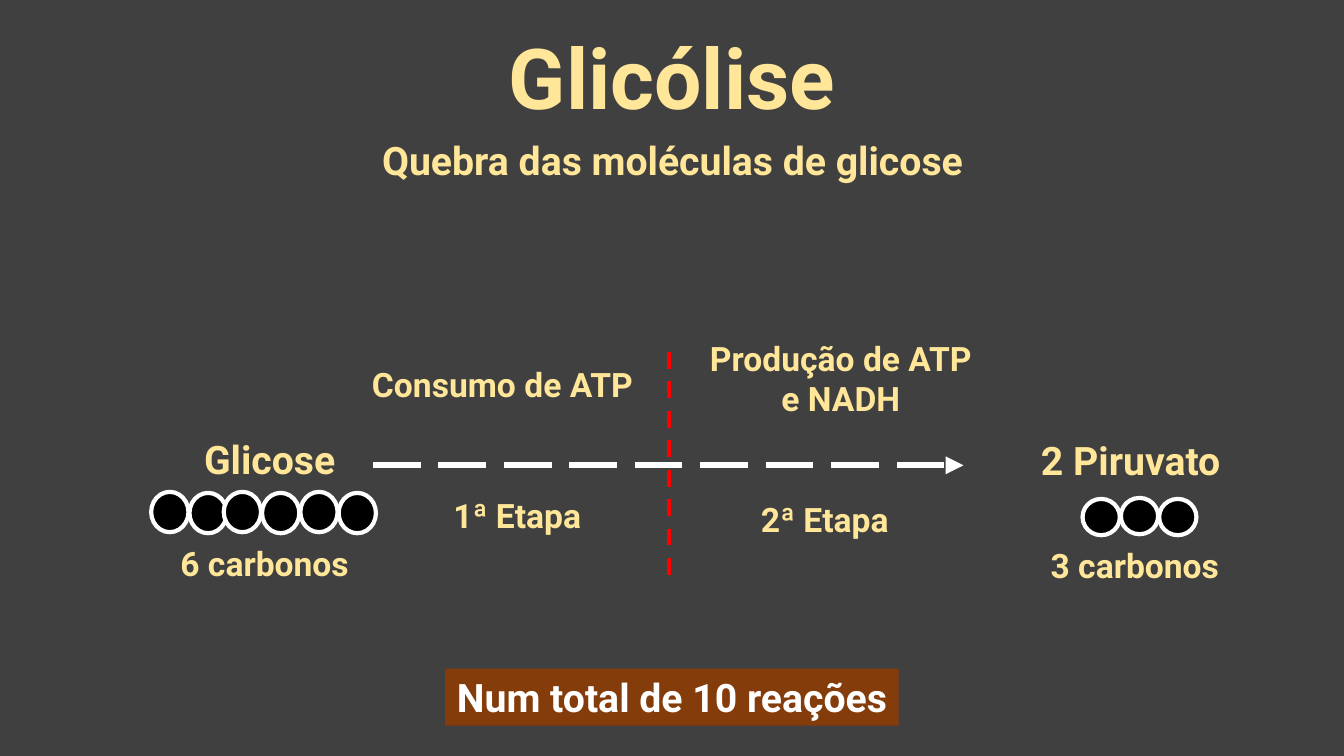
from dataclasses import dataclass

from lxml.etree import SubElement
from pptx import Presentation
from pptx.dml.color import RGBColor
from pptx.enum.dml import MSO_LINE
from pptx.enum.shapes import MSO_CONNECTOR, MSO_SHAPE
from pptx.enum.text import MSO_ANCHOR, MSO_AUTO_SIZE, PP_ALIGN
from pptx.oxml.ns import qn
from pptx.shapes.autoshape import Shape
from pptx.shapes.connector import Connector
from pptx.slide import Slide
from pptx.util import Emu, Inches, Pt

# Grid of 160 columns by 90 rows of square cells
COLUMNS, ROWS = 160, 90
CELL = Inches(7.5) / ROWS
FONT = "Roboto"
COLORS = {
    "background": "404040",
    "cream": "FFE699",
    "white": "FFFFFF",
    "black": "000000",
    "red": "FF0000",
    "brown": "843C0B",
}


@dataclass(frozen=True)
class Box:
    left: float
    top: float
    width: float
    height: float


@dataclass(frozen=True)
class Label:
    text: str
    box: Box
    size: int = 24
    alignment: PP_ALIGN = PP_ALIGN.CENTER


@dataclass(frozen=True)
class CarbonChain:
    left: float
    top: float
    count: int
    height: float
    stagger: float


@dataclass(frozen=True)
class DashedLine:
    start: tuple[float, float]
    end: tuple[float, float]
    color: str
    weight: float
    dash: MSO_LINE


TITLE = Label("Glicólise", Box(55.7, 3.4, 48.6, 12.4), 60)
TOTAL = Label("Num total de 10 reações", Box(53, 79.6, 54, 6.8), 28)
LABELS = [
    Label("Quebra das moléculas de glicose", Box(43.8, 15.6, 72.5, 6.8), 28),
    Label("Glicose", Box(19.8, 51.2, 24.6, 6.8), 28),
    Label("2 Piruvato", Box(117.4, 51.4, 34.4, 6.8), 28),
    Label("6 carbonos", Box(19.2, 64, 24.6, 6)),
    Label("3 carbonos", Box(122.8, 64.3, 24.6, 6)),
    Label("Consumo de ATP", Box(43.1, 42.7, 34.4, 6), alignment=PP_ALIGN.LEFT),
    Label("Produção de ATP e NADH", Box(82.9, 39.6, 34.4, 10.9)),
    Label("1ª Etapa", Box(52.8, 58.3, 18.1, 6), alignment=PP_ALIGN.LEFT),
    Label("2ª Etapa", Box(89.4, 58.8, 18.1, 6), alignment=PP_ALIGN.LEFT),
]
REACTION = DashedLine((44.4, 55.4), (114.7, 55.4), "white", 4.25, MSO_LINE.LONG_DASH)
DIVIDER = DashedLine((79.6, 41.9), (79.6, 68.9), "red", 3, MSO_LINE.DASH)

# Glucose is drawn as two carbons overlapped by four more
CHAINS = [
    CarbonChain(18, 58.56, 2, 4.8, 0.12),
    CarbonChain(26.64, 58.56, 4, 4.8, 0.12),
    CarbonChain(128.88, 59.4, 3, 4.32, -0.12),
]
CARBON_WIDTH, CARBON_PITCH = 4.44, 4.56


def cells(count: float) -> Emu:
    return Emu(round(count * CELL))


def color(name: str) -> RGBColor:
    return RGBColor.from_string(COLORS[name])


def place(shape: Shape, box: Box) -> None:
    shape.left, shape.top = cells(box.left), cells(box.top)
    shape.width, shape.height = cells(box.width), cells(box.height)


def write(shape: Shape, label: Label, color_name: str = "cream") -> None:
    frame = shape.text_frame
    frame.word_wrap = True
    paragraph = frame.paragraphs[0]
    paragraph.alignment = label.alignment
    run = paragraph.add_run()
    run.text = label.text
    run.font.name = FONT
    run.font.size = Pt(label.size)
    run.font.bold = True
    run.font.color.rgb = color(color_name)


def add_title(slide: Slide, label: Label) -> None:
    title = slide.shapes.title
    place(title, label.box)
    write(title, label)
    title.text_frame.auto_size = MSO_AUTO_SIZE.NONE
    title.text_frame.vertical_anchor = MSO_ANCHOR.BOTTOM
    title.text_frame.paragraphs[0].line_spacing = 0.9


def add_label(slide: Slide, label: Label) -> None:
    text_box = slide.shapes.add_textbox(0, 0, 0, 0)
    place(text_box, label.box)
    write(text_box, label)


def add_filled(slide: Slide, kind: MSO_SHAPE, box: Box, fill: str) -> Shape:
    shape = slide.shapes.add_shape(kind, 0, 0, 0, 0)
    place(shape, box)
    shape.shadow.inherit = False
    shape.fill.solid()
    shape.fill.fore_color.rgb = color(fill)
    return shape


def add_banner(slide: Slide, label: Label) -> None:
    banner = add_filled(slide, MSO_SHAPE.RECTANGLE, label.box, "brown")
    banner.line.fill.background()
    write(banner, label, "white")


def add_chain(slide: Slide, chain: CarbonChain) -> None:
    for index in range(chain.count):
        left = chain.left + index * CARBON_PITCH
        top = chain.top + index % 2 * chain.stagger
        box = Box(left, top, CARBON_WIDTH, chain.height)
        carbon = add_filled(slide, MSO_SHAPE.OVAL, box, "black")
        carbon.line.color.rgb = color("white")
        carbon.line.width = Pt(3)


def add_line(slide: Slide, line: DashedLine) -> Connector:
    points = [cells(value) for value in (*line.start, *line.end)]
    connector = slide.shapes.add_connector(MSO_CONNECTOR.STRAIGHT, *points)
    connector.line.color.rgb = color(line.color)
    connector.line.width = Pt(line.weight)
    connector.line.dash_style = line.dash
    SubElement(connector.element.spPr, qn("a:effectLst"))
    return connector


def add_arrowhead(connector: Connector) -> None:
    SubElement(connector.line._get_or_add_ln(), qn("a:tailEnd"), type="triangle")


def main() -> None:
    presentation = Presentation()
    presentation.slide_width = cells(COLUMNS)
    presentation.slide_height = cells(ROWS)
    slide = presentation.slides.add_slide(presentation.slide_layouts[5])
    slide.background.fill.solid()
    slide.background.fill.fore_color.rgb = color("background")

    # Headings and captions
    add_title(slide, TITLE)
    for label in LABELS:
        add_label(slide, label)

    # Reaction arrow and the divider between its two stages
    add_arrowhead(add_line(slide, REACTION))
    add_line(slide, DIVIDER)

    # Carbon chains and the closing banner
    for chain in CHAINS:
        add_chain(slide, chain)
    add_banner(slide, TOTAL)

    presentation.save("out.pptx")


if __name__ == "__main__":
    main()
